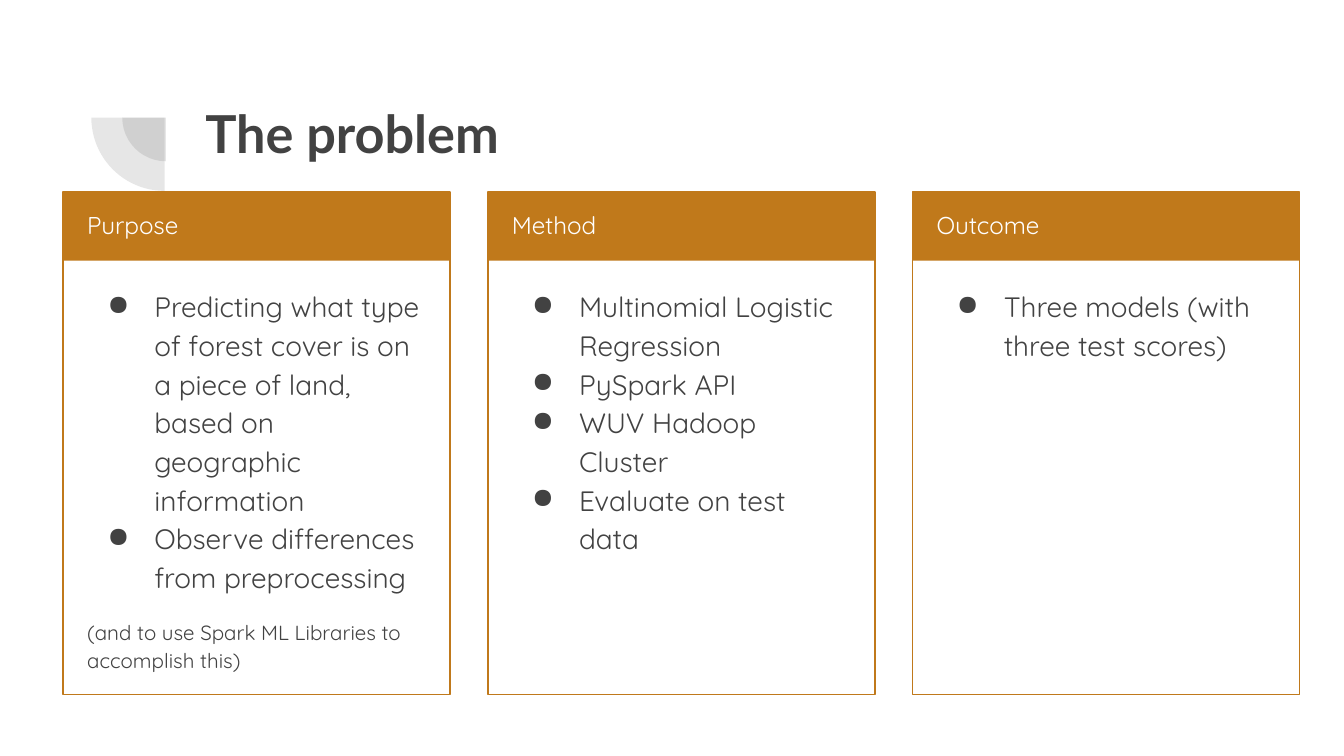
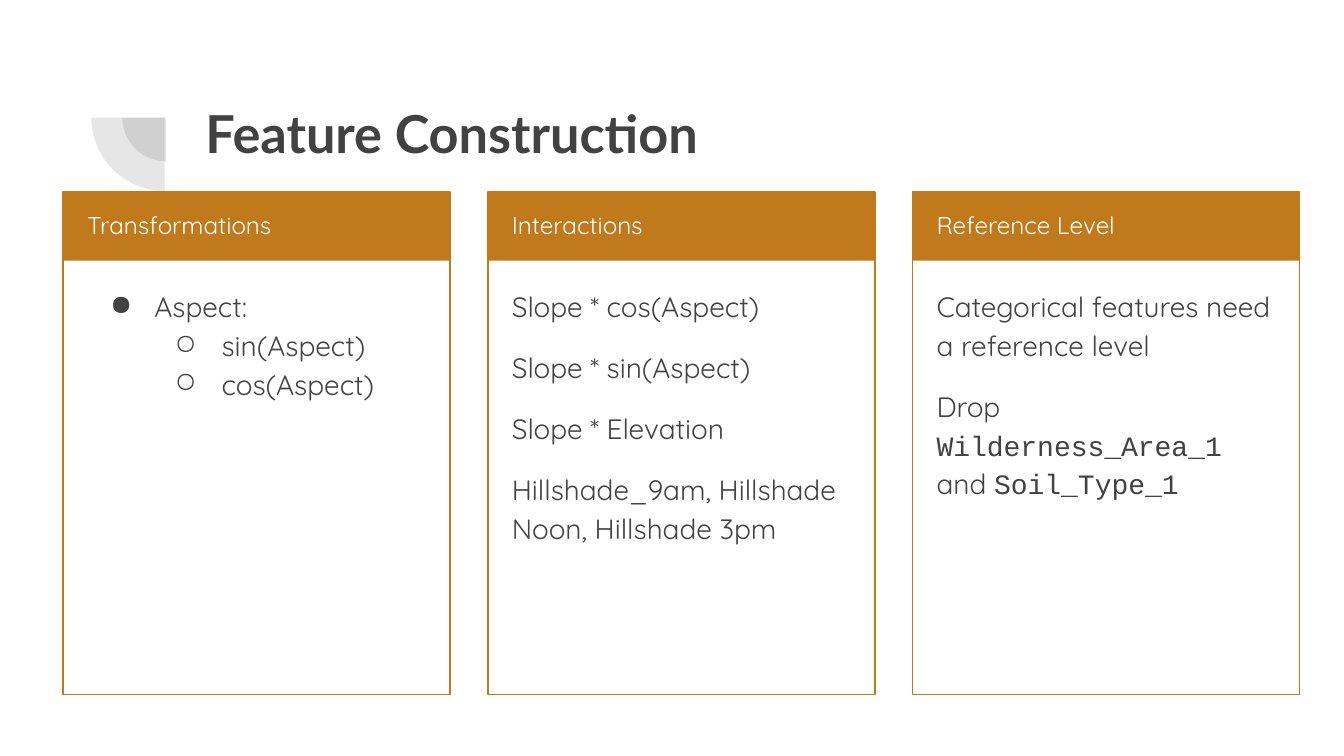
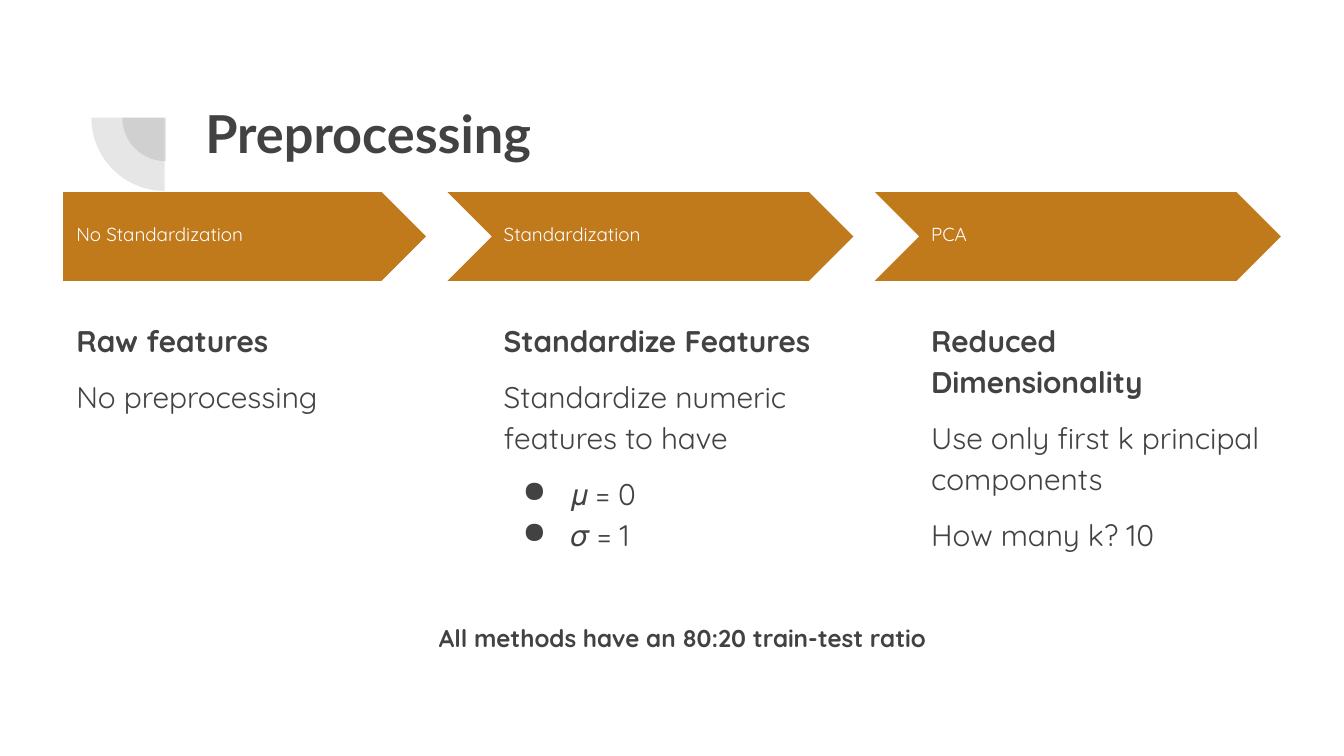
from dataclasses import dataclass

from lxml import etree
from pptx import Presentation
from pptx.dml.color import RGBColor
from pptx.enum.shapes import MSO_SHAPE
from pptx.enum.text import MSO_ANCHOR, PP_ALIGN
from pptx.oxml.ns import qn
from pptx.util import Inches, Pt

INK = RGBColor(0x42, 0x42, 0x42)
ACCENT = RGBColor(0xC0, 0x79, 0x1B)
WHITE = RGBColor(0xFF, 0xFF, 0xFF)

TITLE_FONT = "Lato"
BODY_FONT = "Quicksand"
CODE_FONT = "Courier New"

LEFT = 0.47
BAND_TOP = 1.43
CARD_PITCH = 3.16
CARD_WIDTH = 2.88
STEP_PITCH = 3.18
NOTCH = 0.32


@dataclass
class Para:
    text: str
    size: float = 15
    bold: bool = False
    color: RGBColor = INK
    font: str = BODY_FONT
    bullet: str = ""
    level: int = 0
    hang: float = 0.35
    spacing: float = 1.15
    before: float = 0
    after: float = 0
    align: PP_ALIGN = PP_ALIGN.LEFT


def bullet(text, **style):
    return Para(text, bullet="●", **style)


def sub_bullet(text):
    return Para(text, bullet="○", level=1)


class Deck:
    def __init__(self):
        self.presentation = Presentation()
        self.presentation.slide_width = Inches(10)
        self.presentation.slide_height = Inches(10) * 9 // 16
        self.slide = None

    def start_slide(self, title):
        self.slide = self.presentation.slides.add_slide(self.presentation.slide_layouts[6])
        self.quarter(0.91, 0.55, 0.65)
        self.quarter(0.68, 0.33, 1.09)
        heading = Para(title, size=28, bold=True, font=TITLE_FONT, spacing=1)
        self.text(1.43, 0.65, 7.69, 1.09, [heading])

    def shape(self, kind, left, top, width, height, fill=None, line=None):
        shape = self.slide.shapes.add_shape(
            kind, Inches(left), Inches(top), Inches(width), Inches(height))
        shape.shadow.inherit = False
        if fill is None:
            shape.fill.background()
        else:
            shape.fill.solid()
            shape.fill.fore_color.rgb = fill
        if line is None:
            shape.line.fill.background()
        else:
            shape.line.color.rgb = line
            shape.line.width = Pt(0.75)
        return shape

    def quarter(self, left, top, side):
        quarter = self.shape(MSO_SHAPE.PIE, left, top, side, side, INK)
        quarter.adjustments[0] = 108
        quarter.adjustments[1] = 162
        quarter.rotation = 270
        color = quarter.fill._xPr.find(qn("a:solidFill"))[0]
        etree.SubElement(color, qn("a:alpha"), val="13000")

    def text(self, left, top, width, height, paras, anchor=MSO_ANCHOR.TOP):
        box = self.slide.shapes.add_textbox(
            Inches(left), Inches(top), Inches(width), Inches(height))
        frame = box.text_frame
        frame.word_wrap = True
        frame.vertical_anchor = anchor
        frame.margin_left = frame.margin_right = Inches(0.1)
        frame.margin_top = frame.margin_bottom = Inches(0.1)
        for index, para in enumerate(paras):
            paragraph = frame.add_paragraph() if index else frame.paragraphs[0]
            self.fill_paragraph(paragraph, para)

    def fill_paragraph(self, paragraph, para):
        paragraph.alignment = para.align
        paragraph.level = para.level
        paragraph.line_spacing = para.spacing
        paragraph.space_before = Pt(para.before)
        paragraph.space_after = Pt(para.after)
        for index, segment in enumerate(para.text.split("`")):
            if not segment:
                continue
            run = paragraph.add_run()
            run.text = segment
            run.font.name = CODE_FONT if index % 2 else para.font
            run.font.size = Pt(para.size)
            run.font.bold = para.bold
            run.font.color.rgb = para.color
        if para.bullet:
            self.add_bullet(paragraph, para)

    def add_bullet(self, paragraph, para):
        properties = paragraph._p.get_or_add_pPr()
        properties.set("marL", str(Inches(0.5 * (para.level + 1))))
        properties.set("indent", str(-Inches(para.hang)))
        color = etree.SubElement(properties, qn("a:buClr"))
        etree.SubElement(color, qn("a:srgbClr"), val=str(para.color))
        etree.SubElement(properties, qn("a:buChar"), char=para.bullet)

    def card(self, column, label, paras):
        left = LEFT + column * CARD_PITCH
        self.shape(MSO_SHAPE.RECTANGLE, left, BAND_TOP, CARD_WIDTH, 0.51, fill=ACCENT)
        self.shape(MSO_SHAPE.RECTANGLE, left, BAND_TOP, CARD_WIDTH, 3.74, line=ACCENT)
        self.text(left + 0.08, BAND_TOP, 2.73, 0.5, [Para(label, size=13, color=WHITE)])
        self.text(left + 0.08, 2.02, 2.71, 3.06, paras)

    def step(self, column, label, paras):
        left = LEFT + column * STEP_PITCH
        kind = MSO_SHAPE.CHEVRON if column else MSO_SHAPE.PENTAGON
        notch = NOTCH if column else 0
        arrow = self.shape(kind, left - notch, BAND_TOP, 2.7 + notch, 0.66, fill=ACCENT)
        arrow.adjustments[0] = 0.5
        caption = Para(label, size=10.1, color=WHITE, spacing=0.8)
        self.text(left, 1.59, 2.47, 0.34, [caption], MSO_ANCHOR.MIDDLE)
        self.text(left, 2.26, 2.7, 2.9, paras)

    def cards_slide(self, title, cards):
        self.start_slide(title)
        for column, (label, paras) in enumerate(cards):
            self.card(column, label, paras)

    def steps_slide(self, title, steps, footnote):
        self.start_slide(title)
        for column, (label, paras) in enumerate(steps):
            self.step(column, label, paras)
        closing = Para(footnote, size=13, bold=True, spacing=1, align=PP_ALIGN.CENTER)
        self.text(0.4, 4.54, 9.35, 0.5, [closing])


PROBLEM = [
    ("Purpose", [
        bullet("Predicting what type of forest cover is on a piece of land, "
               "based on geographic information"),
        bullet("Observe differences from preprocessing"),
        Para("(and to use Spark ML Libraries to accomplish this)",
             size=11, before=12, after=12),
    ]),
    ("Method", [
        bullet("Multinomial Logistic Regression"),
        bullet("PySpark API"),
        bullet("WUV Hadoop Cluster"),
        bullet("Evaluate on test data"),
    ]),
    ("Outcome", [bullet("Three models (with three test scores)")]),
]

FEATURES = [
    ("Transformations", [
        bullet("Aspect:", hang=0.33),
        sub_bullet("sin(Aspect)"),
        sub_bullet("cos(Aspect)"),
    ]),
    ("Interactions", [
        Para("Slope * cos(Aspect)"),
        Para("Slope * sin(Aspect)", before=12),
        Para("Slope * Elevation", before=12),
        Para("Hillshade_9am, Hillshade Noon, Hillshade 3pm", before=12, after=12),
    ]),
    ("Reference Level", [
        Para("Categorical features need a reference level"),
        Para("Drop `Wilderness_Area_1` and `Soil_Type_1`", before=12, after=12),
    ]),
]

PREPROCESSING = [
    ("No Standardization", [
        Para("Raw features", size=16, bold=True),
        Para("No preprocessing", size=16, before=8),
    ]),
    ("Standardization", [
        Para("Standardize Features", size=16, bold=True),
        Para("Standardize numeric features to have", size=16, before=8),
        bullet("𝜇 = 0", size=16, hang=0.36, before=8),
        bullet("𝜎 = 1", size=16, hang=0.36),
    ]),
    ("PCA", [
        Para("Reduced Dimensionality", size=16, bold=True),
        Para("Use only first k principal components", size=16, before=8),
        Para("How many k? 10", size=16, before=8, after=8),
    ]),
]


def main():
    deck = Deck()
    deck.cards_slide("The problem", PROBLEM)
    deck.cards_slide("Feature Construction", FEATURES)
    deck.steps_slide("Preprocessing", PREPROCESSING,
                     "All methods have an 80:20 train-test ratio")
    deck.presentation.save("out.pptx")


if __name__ == "__main__":
    main()
